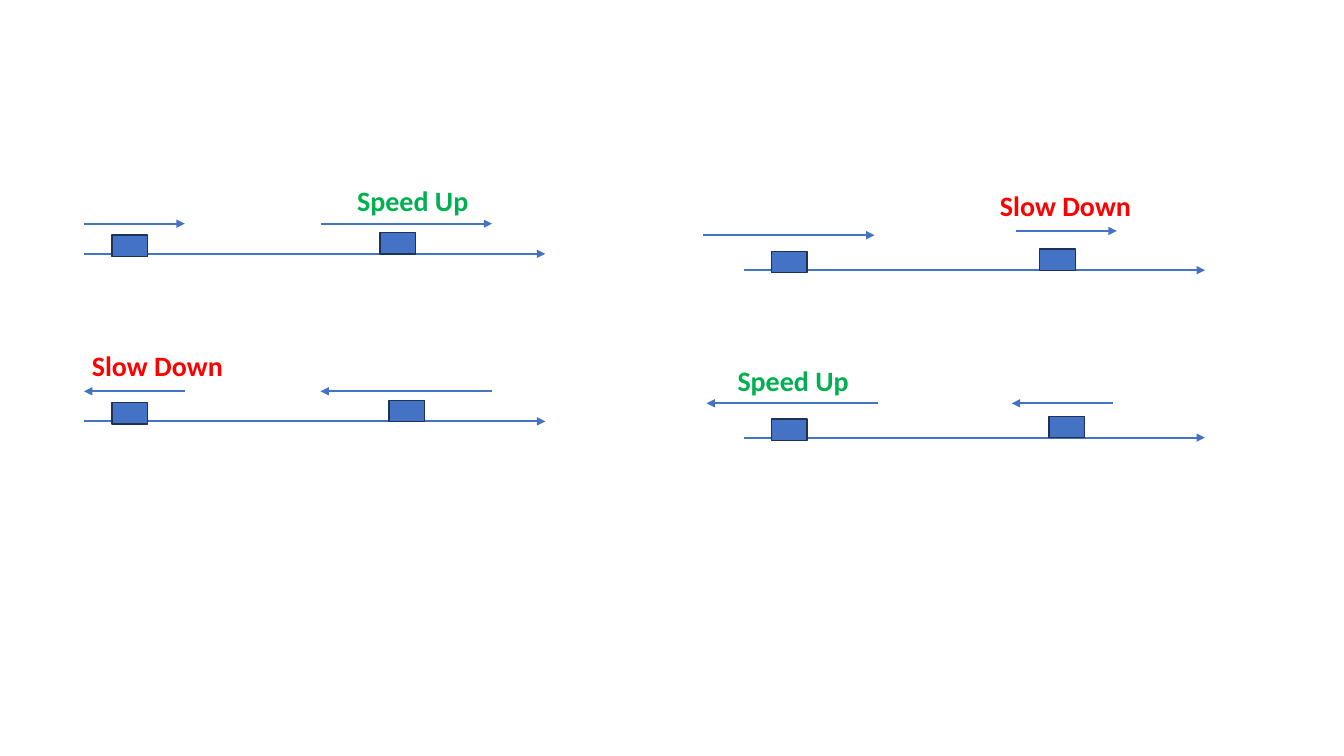
import pptx
import pptx.util
import pptx.dml.color
import pptx.enum.shapes
import pptx.enum.text
import pptx.oxml.ns
from lxml import etree

Pt = pptx.util.Pt
BLUE, NAVY = "4472C4", "1E3256"
FAST = ("Speed Up", "00B050", 95)
SLOW = ("Slow Down", "FF0000", 109)
LENGTH = 329.5
CAR_W, CAR_H = 25.4, 15.2


def color(code):
    return pptx.dml.color.RGBColor.from_string(code)


def arrow(group, start, end, y):
    line = group.shapes.add_connector(
        pptx.enum.shapes.MSO_CONNECTOR.STRAIGHT, Pt(start), Pt(y), Pt(end), Pt(y))
    line.line.color.rgb = color(BLUE)
    line.line.width = Pt(1.5)
    qn = pptx.oxml.ns.qn
    etree.SubElement(line.line._get_or_add_ln(), qn("a:tailEnd"), type="triangle")
    etree.SubElement(line._element.spPr, qn("a:effectLst"))


def car(group, x, y):
    body = group.shapes.add_shape(
        pptx.enum.shapes.MSO_SHAPE.RECTANGLE, Pt(x), Pt(y), Pt(CAR_W), Pt(CAR_H))
    body.shadow.inherit = False
    body.fill.solid()
    body.fill.fore_color.rgb = color(BLUE)
    body.line.color.rgb = color(NAVY)
    body.line.width = Pt(1)


def label(group, kind, x, y):
    text, code, width = kind
    frame = group.shapes.add_textbox(Pt(x), Pt(y), Pt(width), Pt(31.5)).text_frame
    frame.word_wrap = False
    frame.auto_size = pptx.enum.text.MSO_AUTO_SIZE.SHAPE_TO_FIT_TEXT
    para = frame.paragraphs[0]
    para.text = text
    para.font.name = "Calibri"
    para.font.size = Pt(20)
    para.font.bold = True
    para.font.color.rgb = color(code)


def motion(group, x, y, second, speeds, kind, dx, dy):
    """Draw a track from (x, y); all other places are offsets from there."""
    arrow(group, x, x + LENGTH, y)
    # Cars at the two moments
    car(group, x + 20, y - 13.3)
    car(group, x + second, y - 15.1)
    # Velocity arrows
    for start, end, rise in speeds:
        arrow(group, x + start, x + end, y - rise)
    label(group, kind, x + dx, y + dy)


def main():
    deck = pptx.Presentation()
    deck.slide_width, deck.slide_height = Pt(960), Pt(540)
    slide = deck.slides.add_slide(deck.slide_layouts[6])

    # Left column: short arrow first, long arrow second
    left = slide.shapes.add_group_shape()
    motion(left, 60, 181.3, 211.5, [(0, 72, 21.5), (169, 291.5, 21.5)],
           FAST, 188, -54)
    motion(left, 60, 301, 218, [(72, 0, 21.5), (291.5, 169, 21.5)],
           SLOW, -1.5, -55.5)

    # Right column: long arrow first, short arrow second
    right = slide.shapes.add_group_shape()
    motion(right, 531.2, 193, 211.5, [(-29, 93.5, 25), (194.5, 266.5, 28)],
           SLOW, 176, -62)
    motion(right, 531.2, 312.6, 218, [(96, -26.5, 24.5), (263.5, 191.5, 24.5)],
           FAST, -11.5, -56.3)

    deck.save("out.pptx")


if __name__ == "__main__":
    main()
